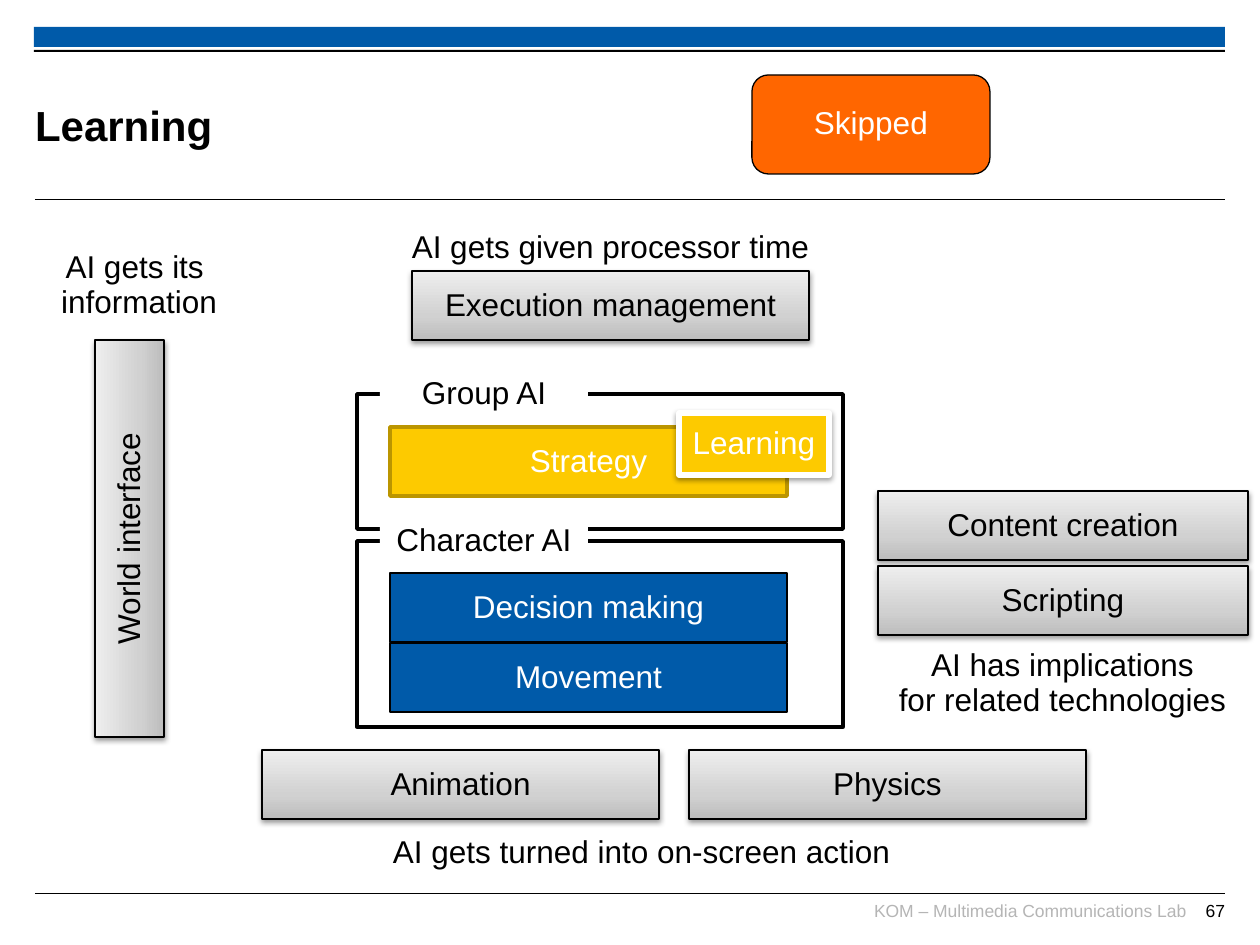
"""Builds the Learning slide: the map of AI parts around group and character AI."""
import pptx
import pptx.dml.color
import pptx.enum.shapes
import pptx.enum.text
import pptx.oxml
import pptx.oxml.ns
import pptx.util

PX = 914400 / 126
RGB = pptx.dml.color.RGBColor.from_string
KIND = pptx.enum.shapes.MSO_SHAPE
ALIGN = pptx.enum.text.PP_ALIGN
ANCHOR = pptx.enum.text.MSO_ANCHOR
NS = pptx.oxml.ns.nsdecls("a")


class Theme:
    font = "Arial"
    black, white, muted = "000000", "FFFFFF", "B5B5B5"
    blue, yellow, gold, orange = "005AA9", "FDCA00", "BB9500", "FF6600"
    grays = ((0, "BDBDBD"), (35, "D1D1D1"), (100, "EEEEEE"))
    title, body, footer = 24, 18, 10
    spacing = 0.93
    # name: fill, line, line width, text colour, shadow
    styles = {
        "gray": (grays, black, 0.75, black, True),
        "blue": (blue, black, 0.75, white, False),
        "yellow": (yellow, gold, 2, white, False),
        "badge": (yellow, white, 3, white, True),
        "orange": (orange, black, 0.75, white, False),
        "bar": (blue, None, 0, white, False),
        "rule": (black, None, 0, white, False),
        "frame": (None, black, 2, black, False),
        "label": (white, None, 0, black, False),
    }


def write(tf, text, color=Theme.black, size=Theme.body, align=ALIGN.CENTER,
          spacing=Theme.spacing, bold=False):
    tf.text = text
    for p in tf.paragraphs:
        p.alignment = align
        p.line_spacing = spacing
        for r in p.runs:
            r.font.name = Theme.font
            r.font.size = pptx.util.Pt(size)
            r.font.bold = bold
            r.font.color.rgb = RGB(color)


def box(shapes, at, style, text="", kind=KIND.RECTANGLE):
    fill, line, width, color, shadow = Theme.styles[style]
    sp = shapes.add_shape(kind, *[round(v * PX) for v in at])
    sp.shadow.inherit = False
    props = sp.fill._xPr
    if fill is None:
        sp.fill.background()
    elif isinstance(fill, str):
        sp.fill.solid()
        sp.fill.fore_color.rgb = RGB(fill)
    else:
        stops = "".join(f'<a:gs pos="{pos * 1000}"><a:srgbClr val="{c}"/></a:gs>' for pos, c in fill)
        props.insert(2, pptx.oxml.parse_xml(
            f'<a:gradFill {NS} rotWithShape="1"><a:gsLst>{stops}</a:gsLst>'
            '<a:lin ang="16200000" scaled="0"/></a:gradFill>'))
    if line:
        sp.line.color.rgb = RGB(line)
        sp.line.width = pptx.util.Pt(width)
    else:
        sp.line.fill.background()
    if shadow:
        props.find(pptx.oxml.ns.qn("a:effectLst")).append(pptx.oxml.parse_xml(
            f'<a:outerShdw {NS} blurRad="40000" dist="20000" dir="5400000" rotWithShape="0">'
            f'<a:srgbClr val="{Theme.black}"><a:alpha val="38000"/></a:srgbClr></a:outerShdw>'))
    if text:
        tf = sp.text_frame
        tf.word_wrap = style == "label"
        tf.vertical_anchor = ANCHOR.TOP if style == "label" else ANCHOR.MIDDLE
        write(tf, text, color)
    return sp


prs = pptx.Presentation()
prs.slide_width, prs.slide_height = round(1260 * PX), round(945 * PX)
s = prs.slides.add_slide(prs.slide_layouts[5])

# Page furniture
box(s.shapes, (34, 27, 1191, 20), "bar")
box(s.shapes, (34, 50, 1191, 2), "rule")
for y in (200, 894):
    ends = [round(v * PX) for v in (35, y, 1225, y)]
    rule = s.shapes.add_connector(pptx.enum.shapes.MSO_CONNECTOR.STRAIGHT, *ends)
    rule.line.color.rgb = RGB(Theme.black)
    rule.line.width = pptx.util.Pt(0.6)
    rule.line._get_or_add_ln().getparent().append(pptx.oxml.parse_xml(f"<a:effectLst {NS}/>"))

for text, x, w, color in (
    ("KOM – Multimedia Communications Lab", 846, 340, Theme.muted),
    ("67", 1171, 54, Theme.black),
):
    sp = s.shapes.add_textbox(*[round(v * PX) for v in (x, 900, w, 30)])
    tf = sp.text_frame
    tf.word_wrap = True
    tf.margin_left = tf.margin_right = tf.margin_top = tf.margin_bottom = 0
    write(tf, text, color, Theme.footer, ALIGN.RIGHT, 1)

title = s.shapes.title
title.left, title.top, title.width, title.height = [round(v * PX) for v in (35, 67, 948, 116)]
tf = title.text_frame
tf.margin_left = tf.margin_right = tf.margin_top = tf.margin_bottom = 0
tf.vertical_anchor = ANCHOR.MIDDLE
write(tf, "Learning", size=Theme.title, align=ALIGN.LEFT, spacing=1, bold=True)

# AI parts
for text, style, x, y, w in (
    ("Execution management", "gray", 412, 271, 397),
    ("Strategy", "yellow", 390, 427, 397),
    ("Decision making", "blue", 390, 573, 397),
    ("Movement", "blue", 390, 643, 397),
    ("Animation", "gray", 262, 750, 397),
    ("Physics", "gray", 689, 750, 397),
    ("Content creation", "gray", 878, 491, 370),
    ("Scripting", "gray", 878, 566, 370),
):
    box(s.shapes, (x, y, w, 69), style, text)
box(s.shapes, (-69, 504, 397, 69), "gray", "World interface").rotation = 270

# Captions
for text, x, y, w, h in (
    ("AI gets its \ninformation", 35, 244, 208, 83),
    ("AI gets given processor time", 348, 224, 525, 48),
    ("AI gets turned into on-screen action", 379, 829, 525, 48),
    ("AI has implications\nfor related technologies", 878, 642, 369, 83),
):
    sp = s.shapes.add_textbox(*[round(v * PX) for v in (x, y, w, h)])
    sp.text_frame.word_wrap = True
    write(sp.text_frame, text)

# Framed groups, each with its label over the top edge
for text, y, h in (("Group AI", 394, 135), ("Character AI", 541, 186)):
    group = s.shapes.add_group_shape()
    box(group.shapes, (357, y, 486, h), "frame")
    box(group.shapes, (380, y - 24, 208, 48), "label", text)

box(s.shapes, (679, 413, 150, 62), "badge", "Learning")
box(s.shapes, (752, 75, 238, 99), "orange", "Skipped", KIND.ROUNDED_RECTANGLE)

prs.save("out.pptx")
